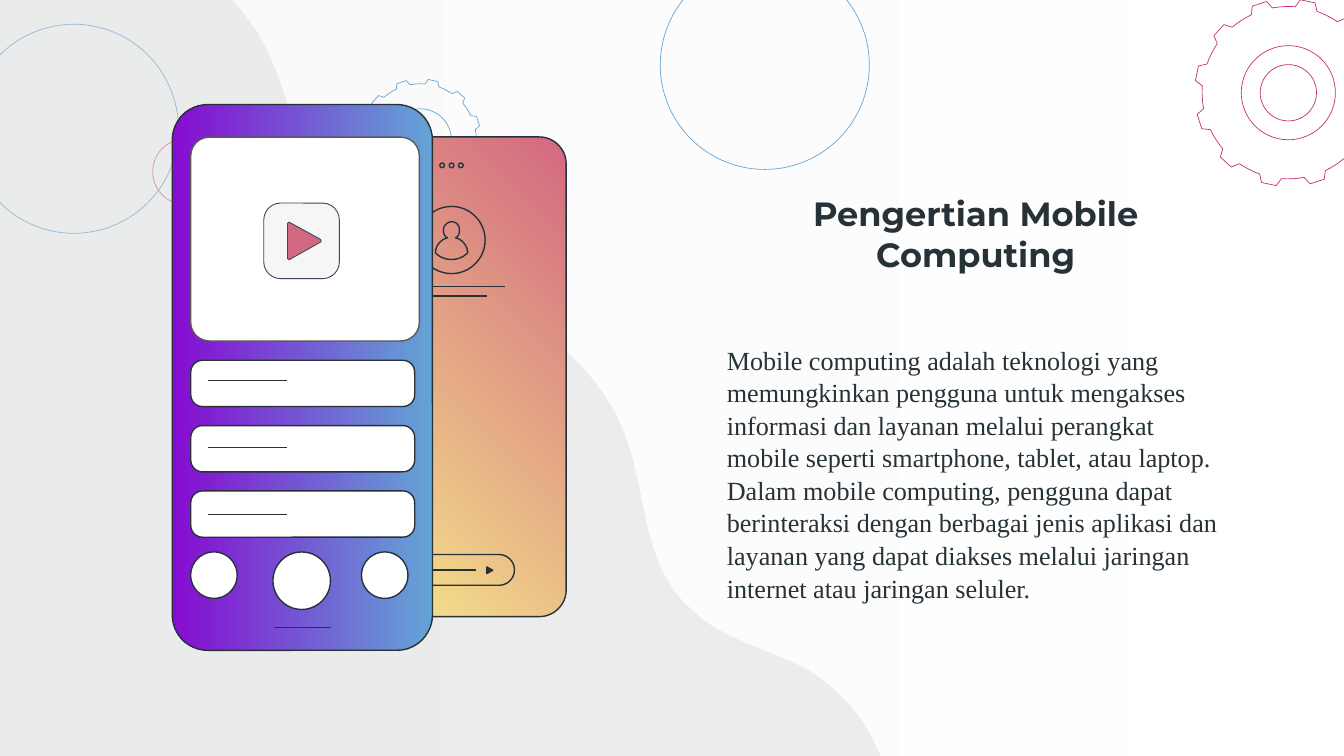
from math import cos, radians, sin

from lxml.etree import SubElement
from pptx import Presentation
from pptx.dml.color import RGBColor
from pptx.enum.shapes import MSO_CONNECTOR, MSO_SHAPE as Shape
from pptx.enum.text import MSO_ANCHOR as Anchor, PP_ALIGN as Align
from pptx.oxml.ns import qn
from pptx.util import Pt

INK = RGBColor(0x26, 0x32, 0x38)
WHITE = RGBColor(0xFF, 0xFF, 0xFF)
PALE = RGBColor(0xF3, 0xF3, 0xF3)
BUTTON = RGBColor(0xF6, 0xF6, 0xF6)
GREY = RGBColor(0xD6, 0xD7, 0xD7)
FRAME = RGBColor(0x59, 0x59, 0x59)
SLATE = RGBColor(0x3D, 0x46, 0x5E)
BLUE = RGBColor(0x63, 0xA4, 0xD5)
VIOLET = RGBColor(0x86, 0x0C, 0xD1)
ROSE = RGBColor(0xD3, 0x69, 0x80)
MAGENTA = RGBColor(0xC5, 0x28, 0x78)
YELLOW = RGBColor(0xF7, 0xED, 0x8B)

THIN, MEDIUM, BOLD = 0.36, 0.48, 0.75
VEIL = 41  # opacity of the backdrop, in percent

TITLE = "Pengertian Mobile Computing"
BODY = (
    "Mobile computing adalah teknologi yang memungkinkan pengguna untuk "
    "mengakses informasi dan layanan melalui perangkat mobile seperti "
    "smartphone, tablet, atau laptop. Dalam mobile computing, pengguna dapat "
    "berinteraksi dengan berbagai jenis aplikasi dan layanan yang dapat "
    "diakses melalui jaringan internet atau jaringan seluler."
)

# centre x, centre y, radius, colour
RINGS = [(39.6, 69, 56, BLUE), (409.7, 34.8, 56, BLUE), (99.4, 92, 17.6, ROSE)]
# centre x, centre y, tip radius, hub radii, colour
GEARS = [(225.2, 74.9, 32.6, [16.6], BLUE), (690.2, 49.7, 50.2, [25.2, 15.1], MAGENTA)]

# each curve: two control points and an end point
BLOB_START = (40, -57)
BLOB_CURVES = [
    ((57, -50), (73, -42), (86, -33)),
    ((107, -20), (121, -6), (135, 13)),
    ((148, 32), (155, 58), (161, 80)),
    ((164, 90), (167, 100), (174, 109)),
    ((194, 142), (245, 150), (281, 172)),
    ((307, 187), (327, 210), (336, 236)),
    ((347, 267), (344, 305), (372, 328)),
    ((388, 343), (413, 348), (433, 359)),
    ((458, 374), (474, 400), (477, 426)),
]
BLOB_CORNERS = [(-27, 426), (-27, -57)]
PERSON_START = (250.6, 135.4)
PERSON_CURVES = [
    ((250.6, 131.8), (247.7, 128.2), (244.1, 127.4)),
    ((245.5, 126.7), (246.2, 125.3), (246.2, 123.1)),
    ((246.2, 121), (244.8, 118.8), (241.9, 118.8)),
    ((239.8, 118.8), (237.6, 121), (237.6, 123.1)),
    ((237.6, 125.3), (238.3, 126.7), (239.8, 127.4)),
    ((236.2, 128.2), (233.3, 131.8), (233.3, 135.4)),
    ((233.3, 135.4), (236.2, 139), (241.9, 139)),
    ((247.7, 139), (250.6, 135.4), (250.6, 135.4)),
]
SEND_ARROW = [(260.8, 303.7), (260.8, 307.3), (264, 305.5)]
PLAY_ARROW = [(154, 119.6), (154.9, 119), (171.8, 128.3), (172, 129.2),
              (171.6, 129.8), (155, 139.1), (154, 138.6)]

# x start, x end, y
BACK_LINES = [(221, 255, 305.4), (214, 270.7, 153.4), (223, 261, 158.5)]
HOME_BAR = (146.6, 177.4, 336.2)
CARD_TOPS = [193, 228, 263]
CARD_LINES = [(111.6, 154, y) for y in (203.9, 239.7, 275.6)]
# left, diameter
BUTTONS = [(102.2, 24.9), (146.2, 30.8), (193.7, 24.9)]

presentation = Presentation()
presentation.slide_width, presentation.slide_height = Pt(720), Pt(405)
slide = presentation.slides.add_slide(presentation.slide_layouts[6])


def style(shape, fill=None, line=None, weight=BOLD, opacity=None):
    """Fill takes a colour, or (first, last, angle) for a gradient."""
    shape.shadow.inherit = False
    if fill is None:
        shape.fill.background()
    elif isinstance(fill, RGBColor):
        shape.fill.solid()
        shape.fill.fore_color.rgb = fill
    else:
        shape.fill.gradient()
        shape.fill.gradient_angle = fill[2]
        for stop, color, position in zip(shape.fill.gradient_stops, fill, (0, 1)):
            stop.color.rgb = color
            stop.position = position
    if opacity:
        for color in shape._element.spPr.iter(qn("a:srgbClr")):
            SubElement(color, qn("a:alpha"), val=str(opacity * 1000))
    if line is None:
        shape.line.fill.background()
    else:
        shape.line.color.rgb = line
        shape.line.width = Pt(weight)


def add_box(kind, left, top, width, height, radius=None, **look):
    shape = slide.shapes.add_shape(kind, Pt(left), Pt(top), Pt(width), Pt(height))
    if radius:
        shape.adjustments[0] = radius / min(width, height)
    style(shape, **look)


def add_circle(x, y, radius, **look):
    add_box(Shape.OVAL, x - radius, y - radius, 2 * radius, 2 * radius, **look)


def add_outline(points, **look):
    points = [(x * 100, y * 100) for x, y in points]
    builder = slide.shapes.build_freeform(*points[0], scale=Pt(1) / 100)
    builder.add_line_segments(points[1:], close=True)
    style(builder.convert_to_shape(), **look)


def trace(start, curves, steps=12):
    """Return points along a chain of cubic Bézier curves."""
    points = [start]
    for a, b, end in curves:
        begin = points[-1]
        for step in range(1, steps + 1):
            t = step / steps
            u = 1 - t
            points.append(tuple(
                u**3 * p + 3 * u * u * t * q + 3 * u * t * t * r + t**3 * s
                for p, q, r, s in zip(begin, a, b, end)))
    return points


def gear_points(x, y, tip, teeth=12):
    base = 0.92 * tip
    profile = [(-7.4, base), (-4.6, tip), (4.6, tip), (7.4, base),
               (11.2, base), (15, base), (18.8, base)]
    return [(x + r * cos(radians(angle)), y + r * sin(radians(angle)))
            for tooth in range(teeth) for offset, r in profile
            for angle in [12 + tooth * 360 / teeth + offset]]


def add_line(start, end, y):
    line = slide.shapes.add_connector(
        MSO_CONNECTOR.STRAIGHT, Pt(start), Pt(y), Pt(end), Pt(y))
    line.line.color.rgb = INK
    line.line.width = Pt(BOLD)
    SubElement(line._element.spPr, qn("a:effectLst"))


def add_text(text, box, size, font, bold=False, align=Align.LEFT,
             anchor=Anchor.TOP, spacing=1.0):
    frame = slide.shapes.add_textbox(*map(Pt, box)).text_frame
    frame.word_wrap = True
    frame.vertical_anchor = anchor
    frame.margin_left = frame.margin_right = Pt(7.2)
    frame.margin_top = frame.margin_bottom = Pt(7.2)
    paragraph = frame.paragraphs[0]
    paragraph.alignment = align
    paragraph.line_spacing = spacing
    run = paragraph.add_run()
    run.text = text
    run.font.size, run.font.name, run.font.bold = Pt(size), font, bold
    run.font.color.rgb = INK


# Backdrop
add_box(Shape.RECTANGLE, -5, -5, 730, 415, fill=(WHITE, PALE, 180), opacity=VEIL)
for x, y, radius, color in RINGS:
    add_circle(x, y, radius, line=color, weight=THIN)
for x, y, tip, hubs, color in GEARS:
    add_outline(gear_points(x, y, tip), line=color, weight=THIN)
    for radius in hubs:
        add_circle(x, y, radius, line=color, weight=THIN)
add_outline(trace(BLOB_START, BLOB_CURVES) + BLOB_CORNERS, fill=GREY, opacity=VEIL)

# Back phone
add_box(Shape.ROUNDED_RECTANGLE, 180.7, 73.4, 122.6, 257, 14.4,
        fill=(ROSE, YELLOW, 225), line=INK)
add_box(Shape.ROUNDED_RECTANGLE, 208.8, 297.1, 66.8, 16.5, 8.25, line=INK)
add_outline(SEND_ARROW, fill=INK, line=INK)
add_outline(trace(PERSON_START, PERSON_CURVES), line=INK)
add_circle(241.9, 128.6, 18, line=INK)
for line in BACK_LINES:
    add_line(*line)
for number in range(3):
    add_circle(236.9 + 5 * number, 88.6, 1.25, line=INK)

# Front phone
add_box(Shape.ROUNDED_RECTANGLE, 92.3, 56, 139.4, 292.4, 19,
        fill=(BLUE, VIOLET, 180), line=INK)
add_line(*HOME_BAR)
for top in CARD_TOPS:
    add_box(Shape.ROUNDED_RECTANGLE, 102.2, top, 120, 24.8, 6.3, fill=WHITE, line=INK)
for left, size in BUTTONS:
    add_box(Shape.OVAL, left, 295.7, size, size, fill=WHITE, line=INK)
add_box(Shape.ROUNDED_RECTANGLE, 102.2, 73.5, 122.5, 109.2, 10, fill=WHITE, line=FRAME)
add_box(Shape.ROUNDED_RECTANGLE, 141.3, 108.8, 40.5, 40.5, 9,
        fill=BUTTON, line=SLATE, weight=MEDIUM)
add_outline(PLAY_ARROW, fill=ROSE, line=SLATE, weight=MEDIUM)
for line in CARD_LINES:
    add_line(*line)

add_text(BODY, (382.3, 176.4, 285.1, 96.5), 14, "Times New Roman", spacing=1.04)
add_text(TITLE, (382.3, 102.2, 280.8, 46.1), 18, "Montserrat", bold=True,
         align=Align.CENTER, anchor=Anchor.MIDDLE)

presentation.save("out.pptx")
